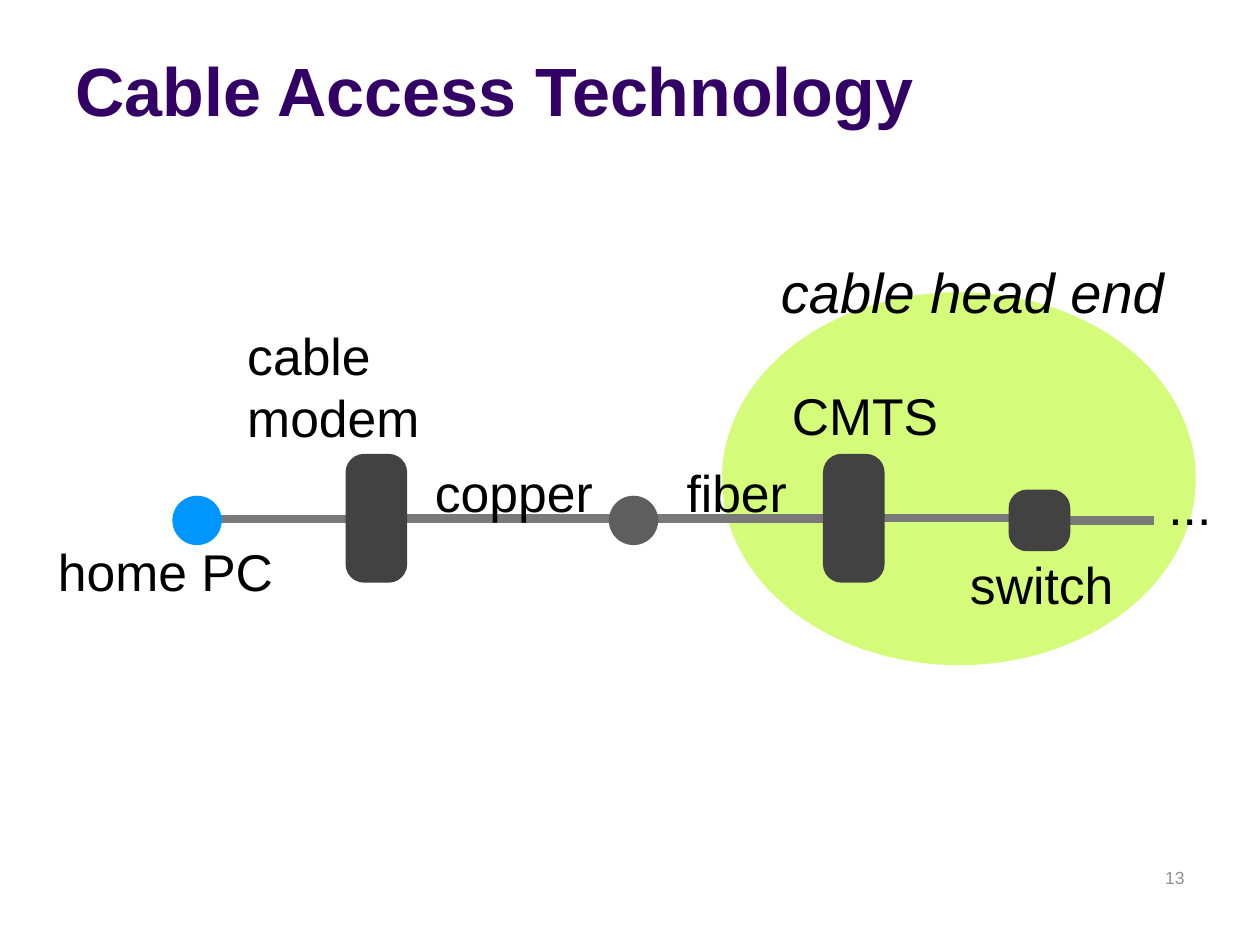
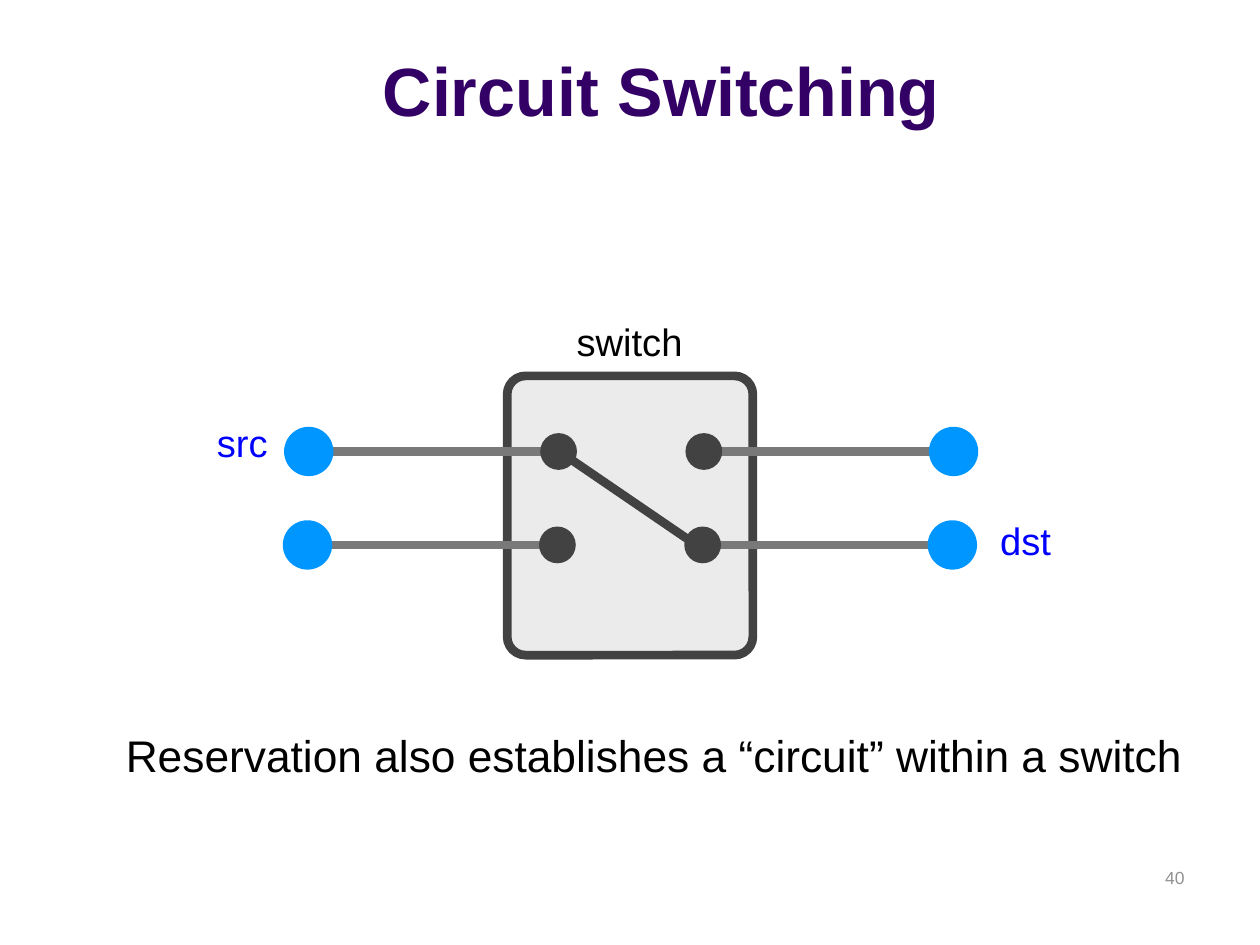
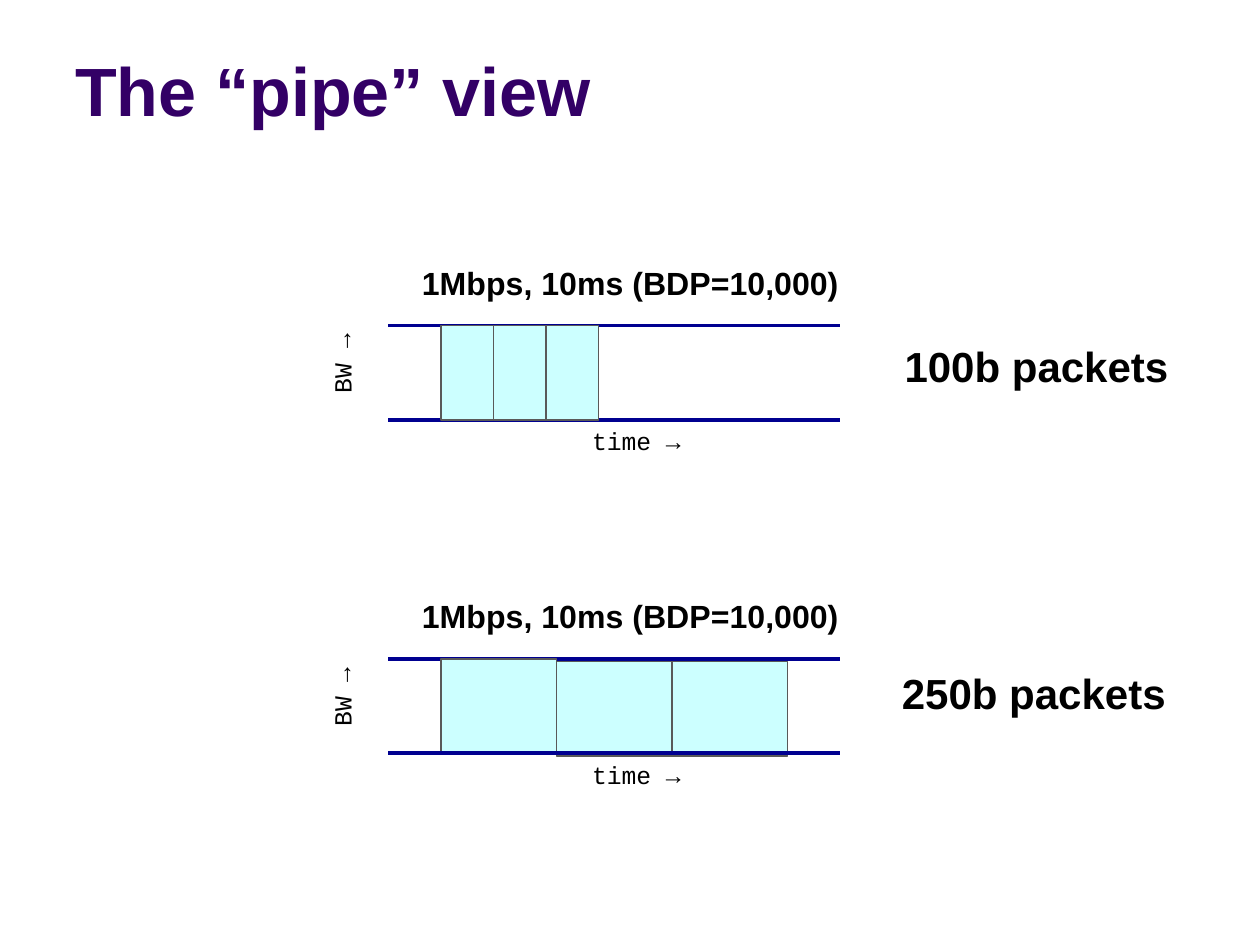
from dataclasses import dataclass

from lxml import etree
from pptx import Presentation
from pptx.dml.color import RGBColor
from pptx.enum.shapes import MSO_CONNECTOR as CONN, MSO_SHAPE as SHAPE
from pptx.enum.text import MSO_ANCHOR as ANCHOR, MSO_AUTO_SIZE as AUTO, PP_ALIGN as ALIGN
from pptx.oxml.ns import qn
from pptx.util import Pt


@dataclass(frozen=True)
class Theme:
    # Fonts
    sans: str = "Arial"
    mono: str = "Courier New"
    # Colours
    title: str = "330066"
    text: str = "000000"
    number: str = "919191"
    endpoint: str = "0000FF"
    host: str = "0096FF"
    device: str = "424242"
    splice: str = "5E5E5E"
    link: str = "797979"
    head_end: str = "D4FB79"
    switch: str = "EBEBEB"
    pipe: str = "000090"
    packet: str = "CCFFFF"
    packet_edge: str = "595959"
    # Type sizes
    title_size: float = 39
    area_size: float = 32
    device_size: float = 29.5
    caption_size: float = 25.3
    packet_size: float = 24
    small_size: float = 21.8
    pipe_size: float = 18.3
    axis_size: float = 14.1
    number_size: float = 10
    # Line widths
    heavy: float = 5
    medium: float = 2.25
    thin: float = 0.75


T = Theme()
TIGHT = (2.88, 2.88)
NORMAL = (7.2, 3.6)


class Deck:
    """Holds the presentation, its theme and the current slide."""

    def __init__(self):
        self.prs = Presentation()
        self.prs.slide_width, self.prs.slide_height = Pt(720), Pt(540)
        self.s = None

    def slide(self, title, number=None, align=ALIGN.LEFT):
        self.s = self.prs.slides.add_slide(self.prs.slide_layouts[6])
        self.text(title, 36, 9.4, 684, 68.4, T.title_size, T.title, bold=True,
                  align=align, anchor=ANCHOR.BOTTOM, inset=NORMAL, grow=False)
        if number:
            self.text(number, 516, 492, 168, 36, T.number_size, T.number,
                      align=ALIGN.RIGHT, anchor=ANCHOR.TOP, inset=NORMAL, grow=False)

    def text(self, words, x, y, w, h, size, color=T.text, font=T.sans, bold=False,
             italic=False, align=ALIGN.LEFT, anchor=ANCHOR.MIDDLE, inset=TIGHT,
             wrap=True, grow=True, spacing=None, rotation=0):
        sp = self.s.shapes.add_textbox(Pt(x), Pt(y), Pt(w), Pt(h))
        sp.rotation = rotation
        tf = sp.text_frame
        side, edge = map(Pt, inset)
        frame = {"word_wrap": wrap, "vertical_anchor": anchor,
                 "auto_size": AUTO.SHAPE_TO_FIT_TEXT if grow else AUTO.NONE,
                 "margin_left": side, "margin_right": side,
                 "margin_top": edge, "margin_bottom": edge}
        p = tf.paragraphs[0]
        r = p.add_run()
        r.text = words
        formats = [(tf, frame),
                   (p, {"alignment": align, "line_spacing": spacing}),
                   (r.font, {"name": font, "size": Pt(size), "bold": bold, "italic": italic})]
        for target, values in formats:
            for name, value in values.items():
                setattr(target, name, value)
        r.font.color.rgb = RGBColor.from_string(color)

    def shape(self, kind, x, y, w, h, fill, edge=None, width=T.thin, corner=None):
        sp = self.s.shapes.add_shape(kind, Pt(x), Pt(y), Pt(w), Pt(h))
        sp.shadow.inherit = False
        sp.fill.solid()
        sp.fill.fore_color.rgb = RGBColor.from_string(fill)
        if corner is not None:
            sp.adjustments[0] = corner
        if edge:
            sp.line.color.rgb = RGBColor.from_string(edge)
            sp.line.width = Pt(width)
        else:
            sp.line.fill.background()

    def dot(self, cx, cy, size, fill):
        self.shape(SHAPE.OVAL, cx - size / 2, cy - size / 2, size, size, fill)

    def line(self, x1, y1, x2, y2, color=T.link, width=T.heavy):
        c = self.s.shapes.add_connector(CONN.STRAIGHT, Pt(x1), Pt(y1), Pt(x2), Pt(y2))
        c.line.color.rgb = RGBColor.from_string(color)
        c.line.width = Pt(width)
        etree.SubElement(c._element.spPr, qn("a:effectLst"))

    def save(self):
        self.prs.save("out.pptx")


def cable_access(d):
    d.slide("Cable Access Technology", "13")
    d.shape(SHAPE.OVAL, 412.6, 167, 270.7, 213.1, T.head_end)

    # Links along the cable
    for x1, x2, y in [(113.8, 213.8, 296.6), (226.8, 360, 296.4), (361.4, 493.9, 296.4),
                      (499.7, 599.8, 296), (605.5, 659.5, 297.4)]:
        d.line(x1, y, x2, y)

    # Devices
    for x, fill in [(112.6, T.host), (362, T.splice)]:
        d.dot(x, 297.4, 28.2, fill)
    for x, y, h in [(197.5, 259.4, 73.6), (470.3, 259.4, 73.6), (576.4, 279.8, 35.2)]:
        d.shape(SHAPE.ROUNDED_RECTANGLE, x, y, 35.2, h, T.device, corner=0.3)

    # Labels
    for words, x, y, w, h, wrap in [
            ("home PC", 30.2, 305.4, 164.2, 41.6, True),
            ("cable modem", 138.4, 182.2, 159, 77, True),
            ("copper", 245.6, 260.2, 96.4, 41.6, False),
            ("fiber", 389.4, 260.2, 63.4, 41.6, False),
            ("CMTS", 449.6, 216.4, 90, 41.4, False),
            ("switch", 551.4, 313, 88.6, 41.6, False),
            ("...", 664.8, 267.8, 31, 41.6, False)]:
        d.text(words, x, y, w, h, T.device_size, wrap=wrap)
    d.text("cable head end", 443.4, 144.2, 230.4, 44.6, T.area_size, italic=True)


def circuit_switching(d):
    d.slide("Circuit Switching", "40", ALIGN.CENTER)
    d.shape(SHAPE.ROUNDED_RECTANGLE, 289.8, 214.8, 140.4, 159.6, T.switch,
            T.device, T.heavy, corner=0.075)
    d.line(322.6, 260, 402.5, 314.6, T.device)

    # Two rows of hosts joined to switch ports, the lower one set slightly left
    for row, y in enumerate((258, 311.4)):
        shift = -0.7 * row
        for x1, x2 in [(180, 311.8), (410.4, 541.4)]:
            d.line(x1 + shift, y, x2 + shift, y)
        for x in (176.4, 544.9):
            d.dot(x + shift, y, 28.2, T.host)
        for x in (319.2, 402.2):
            d.dot(x + shift, y, 21, T.device)

    # Labels
    for words, x, y, w, color in [("switch", 326.6, 178.8, 67, T.text),
                                  ("src", 121, 236.4, 35, T.endpoint),
                                  ("dst", 568.6, 292.4, 35, T.endpoint)]:
        d.text(words, x, y, w, 32.2, T.small_size, color, wrap=False)
    d.text("Reservation also establishes a “circuit” within a switch",
           69, 413.4, 615, 36, T.caption_size, wrap=False)


def pipe(d, top, packet_width, drops, label, label_x, label_y, lower_in_front):
    left, right, height = 222, 480, 54
    bottom = top + height

    def wall(y):
        d.line(left, y, right, y, T.pipe, T.medium)

    # Walls and packets
    wall(top)
    if not lower_in_front:
        wall(bottom)
    for i, drop in enumerate(drops):
        d.shape(SHAPE.RECTANGLE, 252 + i * packet_width, top + drop, packet_width, height,
                T.packet, T.packet_edge)
    if lower_in_front:
        wall(bottom)

    # Heading, axes and packet size
    plain = {"anchor": ANCHOR.TOP, "inset": NORMAL}
    axis = {"size": T.axis_size, "font": T.mono, "align": ALIGN.RIGHT, "wrap": False, **plain}
    d.text("1Mbps, 10ms (BDP=10,000)", 234, top - 43.6, 259.2, 33.8, T.pipe_size,
           bold=True, wrap=False, spacing=1.2, **plain)
    d.text("time →", 325.4, bottom, 70.6, 24.5, **axis)
    d.text("BW →", 168.5, top + 12.6, 54, 24.5, rotation=270, **axis)
    d.text(label, label_x, label_y, 172.8, 36, T.packet_size, bold=True, **plain)


def pipe_view(d):
    d.slide("The “pipe” view")
    pipe(d, 186, 30, (0, 0, 0), "100b packets", 509.8, 190.8, False)
    pipe(d, 376.5, 66, (0, 1.5, 1.5), "250b packets", 508.3, 378, True)


def main():
    d = Deck()
    for build in (cable_access, circuit_switching, pipe_view):
        build(d)
    d.save()


if __name__ == "__main__":
    main()
